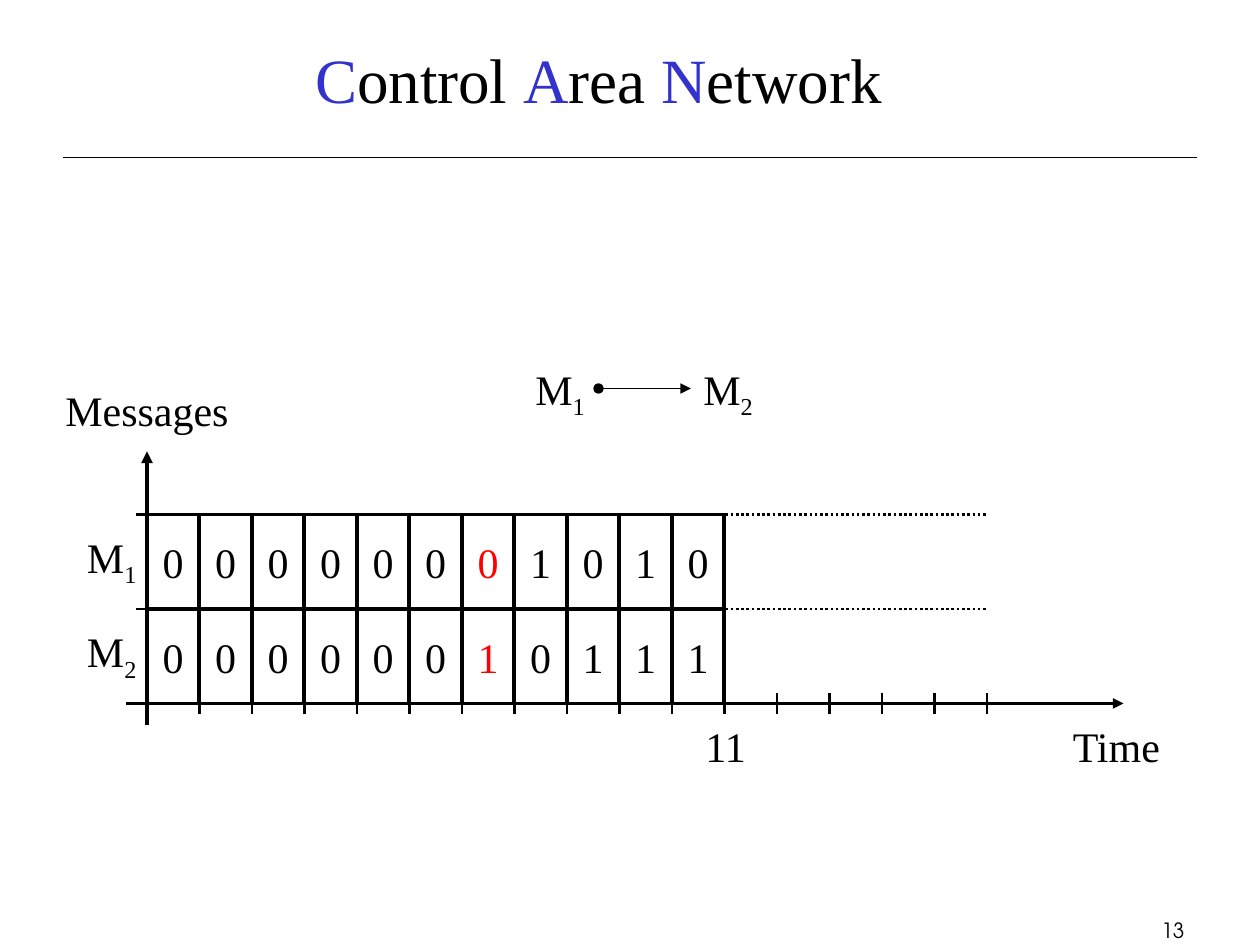
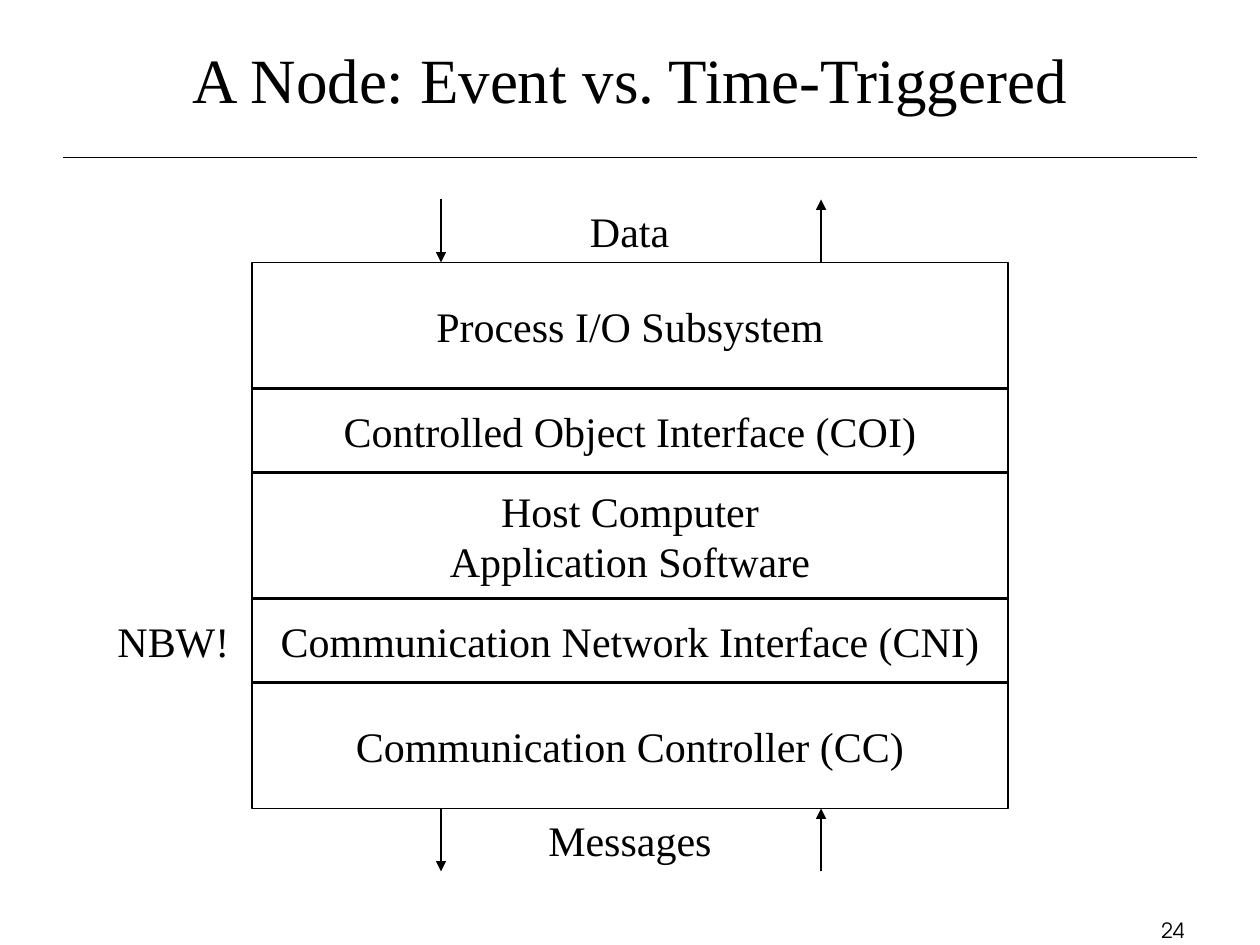
from typing import NamedTuple

from lxml.etree import SubElement
from pptx import Presentation
from pptx.dml.color import RGBColor
from pptx.enum.dml import MSO_LINE
from pptx.enum.shapes import MSO_CONNECTOR, MSO_SHAPE
from pptx.enum.text import MSO_ANCHOR, MSO_AUTO_SIZE, PP_ALIGN
from pptx.oxml.ns import qn
from pptx.util import Emu, Pt

PX = 7620  # 120 px to the inch
COLOURS = {"ink": "000000", "initial": "3333CC", "deciding": "FF0000"}
SERIF = "Times New Roman"
SANS = "TeX Gyre Adventor"


class Area(NamedTuple):
    left: int
    top: int
    width: int
    height: int


class Span(NamedTuple):
    text: str
    colour: str = "ink"
    subscript: bool = False


class Stroke(NamedTuple):
    start: tuple[int, int]
    end: tuple[int, int]
    weight: float = 0.75
    head: str = ""
    tail: str = ""
    dotted: bool = False


class Layer(NamedTuple):
    lines: tuple[str, ...]
    height: int
    weight: float


def px(length: int) -> Emu:
    return Emu(length * PX)


def colour(name: str) -> RGBColor:
    return RGBColor.from_string(COLOURS[name])


def message(number: int) -> list[Span]:
    return [Span("M"), Span(str(number), subscript=True)]


def fill_text(frame, lines: list[list[Span]], size: int = 24, font: str = SERIF,
              align=PP_ALIGN.CENTER) -> None:
    """Write one paragraph for each line of spans."""
    for index, spans in enumerate(lines):
        para = frame.paragraphs[0] if index == 0 else frame.add_paragraph()
        para.alignment = align
        for span in spans:
            run = para.add_run()
            run.text = span.text
            run.font.size = Pt(size)
            run.font.name = font
            run.font.color.rgb = colour(span.colour)
            if span.subscript:
                run.font._element.set("baseline", "-25000")


def add_label(page, area: Area, spans: list[Span], align=PP_ALIGN.LEFT) -> None:
    """Add unwrapped text whose box grows with it."""
    frame = page.shapes.add_textbox(*map(px, area)).text_frame
    frame.word_wrap = False
    frame.auto_size = MSO_AUTO_SIZE.SHAPE_TO_FIT_TEXT
    fill_text(frame, [spans], align=align)


def add_messages_label(page, centre: int, top: int) -> None:
    width = 190
    area = Area(centre - width // 2, top, width, 60)
    add_label(page, area, [Span("Messages")], PP_ALIGN.CENTER)


def add_block(page, area: Area, lines: list[list[Span]], weight: float) -> None:
    """Add an unfilled rectangle with centred text."""
    block = page.shapes.add_shape(MSO_SHAPE.RECTANGLE, *map(px, area))
    block.shadow.inherit = False
    block.fill.background()
    block.line.color.rgb = colour("ink")
    block.line.width = Pt(weight)
    block.text_frame.word_wrap = False
    block.text_frame.vertical_anchor = MSO_ANCHOR.MIDDLE
    fill_text(block.text_frame, lines)


def add_stroke(page, stroke: Stroke) -> None:
    connector = page.shapes.add_connector(
        MSO_CONNECTOR.STRAIGHT, *map(px, stroke.start + stroke.end))
    connector.line.color.rgb = colour("ink")
    connector.line.width = Pt(stroke.weight)
    if stroke.dotted:
        connector.line.dash_style = MSO_LINE.ROUND_DOT
    outline = connector.line._get_or_add_ln()
    for tag, kind in (("a:headEnd", stroke.head), ("a:tailEnd", stroke.tail)):
        if kind:
            SubElement(outline, qn(tag), type=kind)
    SubElement(connector._element.spPr, qn("a:effectLst"))


def add_page(deck, title: list[Span], title_width: int, number: int):
    """Add a blank page with its title, rule and page number."""
    page = deck.slides.add_slide(deck.slide_layouts[6])
    title_frame = page.shapes.add_textbox(*map(px, Area(60, 0, title_width, 150))).text_frame
    title_frame.word_wrap = True
    title_frame.vertical_anchor = MSO_ANCHOR.MIDDLE
    fill_text(title_frame, [title], size=36)
    add_stroke(page, Stroke((60, 150), (1140, 150)))
    number_frame = page.shapes.add_textbox(*map(px, Area(890, 868, 250, 30))).text_frame
    number_frame.word_wrap = True
    fill_text(number_frame, [[Span(str(number))]], 12, SANS, PP_ALIGN.RIGHT)
    return page


def build_arbitration(deck) -> None:
    title = [Span("C", "initial"), Span("ontrol "), Span("A", "initial"),
             Span("rea "), Span("N", "initial"), Span("etwork")]
    page = add_page(deck, title, 1020, 13)
    origin, base, bit_width, bit_height = 140, 670, 50, 90
    messages = ("00000001010", "00000010111")
    deciding_bit, tick_count = 6, 16
    axis_end = origin + tick_count * bit_width
    row_tops = [base - bit_height * (len(messages) - row) for row in range(len(messages))]

    add_label(page, Area(498, 340, 71, 67), message(1))
    add_label(page, Area(658, 340, 71, 67), message(2))
    add_stroke(page, Stroke((570, 370), (658, 370), head="oval", tail="triangle"))
    add_stroke(page, Stroke((120, base), (1070, base), 2, tail="triangle"))
    add_stroke(page, Stroke((origin, base + 20), (origin, 430), 2.25, tail="triangle"))
    add_label(page, Area(1010, 680, 108, 60), [Span("Time")])
    add_messages_label(page, origin, 360)
    add_label(page, Area(660, 680, 64, 60), [Span("11")])
    for tick in range(1, tick_count + 1):
        x = origin + tick * bit_width
        add_stroke(page, Stroke((x, base - 10), (x, base + 10), 1.5))
    for row, (bits, top) in enumerate(zip(messages, row_tops)):
        add_stroke(page, Stroke((132, top), (152, top), 1.5))
        add_label(page, Area(71, top + 10, 71, 67), message(row + 1))
        for position, bit in enumerate(bits):
            tint = "deciding" if position == deciding_bit else "ink"
            cell = Area(origin + position * bit_width, top, bit_width, bit_height)
            add_block(page, cell, [[Span(bit, tint)]], 2.25)
    for top in row_tops:
        add_stroke(page, Stroke((130, top), (axis_end, top), 1.5, dotted=True))


def build_node(deck) -> None:
    page = add_page(deck, [Span("A Node: Event vs. Time-Triggered")], 1080, 24)
    layers = [
        Layer(("Process I/O Subsystem",), 120, 0.75),
        Layer(("Controlled Object Interface (COI)",), 80, 1.5),
        Layer(("Host Computer", "Application Software"), 120, 0.75),
        Layer(("Communication Network Interface (CNI)",), 80, 1.5),
        Layer(("Communication Controller (CC)",), 120, 0.75),
    ]
    stack_top, gap = 250, 60
    top = stack_top
    for layer in layers:
        lines = [[Span(line)] for line in layer.lines]
        add_block(page, Area(240, top, 720, layer.height), lines, layer.weight)
        top += layer.height
    for upper in (stack_top - gap, top):
        lower = upper + gap
        add_stroke(page, Stroke((420, upper), (420, lower), tail="triangle"))
        add_stroke(page, Stroke((782, lower), (782, upper), tail="triangle"))
    add_label(page, Area(550, stack_top - gap, 100, gap), [Span("Data")])
    add_messages_label(page, 600, top)
    add_label(page, Area(100, 580, 131, gap), [Span("NBW!")])


def main() -> None:
    deck = Presentation()
    deck.slide_width, deck.slide_height = px(1200), px(900)
    build_arbitration(deck)
    build_node(deck)
    deck.save("out.pptx")


if __name__ == "__main__":
    main()
